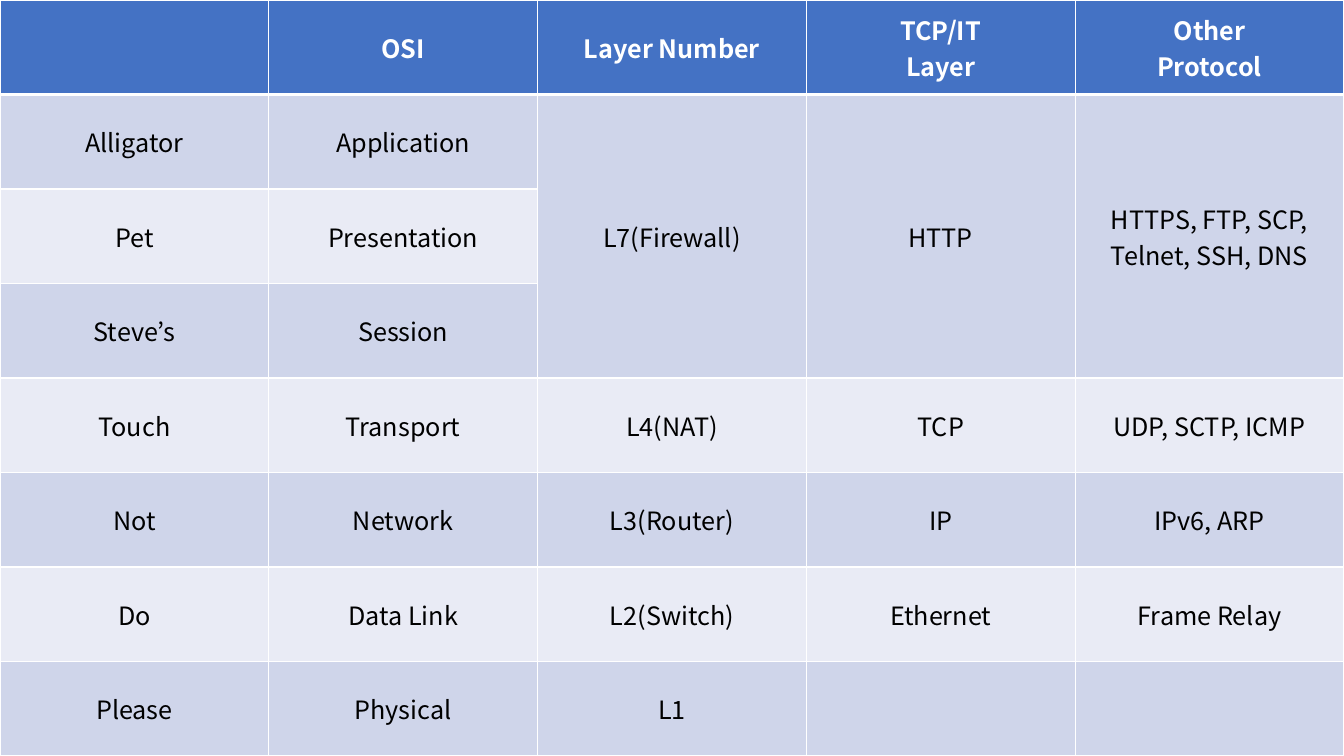
from dataclasses import dataclass

from lxml.etree import SubElement
from pptx import Presentation
from pptx.dml.color import RGBColor
from pptx.enum.text import MSO_ANCHOR, PP_ALIGN
from pptx.oxml.ns import qn
from pptx.util import Inches, Pt


@dataclass(frozen=True)
class Theme:
    font: str = "Noto Sans CJK KR"
    size: int = 18
    head: str = "4472C4"
    bands: tuple = ("E9EBF5", "CFD5EA")
    white: str = "FFFFFF"
    black: str = "000000"
    thin: int = 1
    thick: int = 3


theme = Theme()
width, height = Inches(13.33), Inches(7.5)
rows = [
    ["", "OSI", "Layer Number", "TCP/IT\nLayer", "Other\nProtocol"],
    ["Alligator", "Application", "L7(Firewall)", "HTTP",
     "HTTPS, FTP, SCP, Telnet, SSH, DNS"],
    ["Pet", "Presentation", "", "", ""],
    ["Steve’s", "Session", "", "", ""],
    ["Touch", "Transport", "L4(NAT)", "TCP", "UDP, SCTP, ICMP"],
    ["Not", "Network", "L3(Router)", "IP", "IPv6, ARP"],
    ["Do", "Data Link", "L2(Switch)", "Ethernet", "Frame Relay"],
    ["Please", "Physical", "L1", "", ""],
]


def add_border(cell, side, points):
    props = cell._tc.get_or_add_tcPr()
    line = SubElement(props, qn(f"a:ln{side}"), w=str(Pt(points)))
    fill = SubElement(line, qn("a:solidFill"))
    SubElement(fill, qn("a:srgbClr"), val=theme.white)


deck = Presentation()
deck.slide_width, deck.slide_height = width, height
slide = deck.slides.add_slide(deck.slide_layouts[6])
table = slide.shapes.add_table(
    len(rows), len(rows[0]), 0, 0, width, height).table

for r, row in enumerate(rows):
    top = theme.thick if r == 1 else theme.thin
    bottom = theme.thick if r == 0 else theme.thin
    color = theme.bands[r % 2] if r else theme.head
    ink = theme.black if r else theme.white
    for c, text in enumerate(row):
        cell = table.cell(r, c)
        for side, points in zip("LRTB", (theme.thin, theme.thin, top, bottom)):
            add_border(cell, side, points)
        cell.fill.solid()
        cell.fill.fore_color.rgb = RGBColor.from_string(color)
        cell.vertical_anchor = MSO_ANCHOR.MIDDLE
        cell.text_frame.text = text
        for para in cell.text_frame.paragraphs:
            para.alignment = PP_ALIGN.CENTER
            para.font.name = theme.font
            para.font.size = Pt(theme.size)
            para.font.bold = r == 0
            para.font.color.rgb = RGBColor.from_string(ink)

# The top three OSI layers share one cell in each of the last three columns.
for c in range(2, 5):
    table.cell(1, c).merge(table.cell(3, c))

deck.save("out.pptx")
